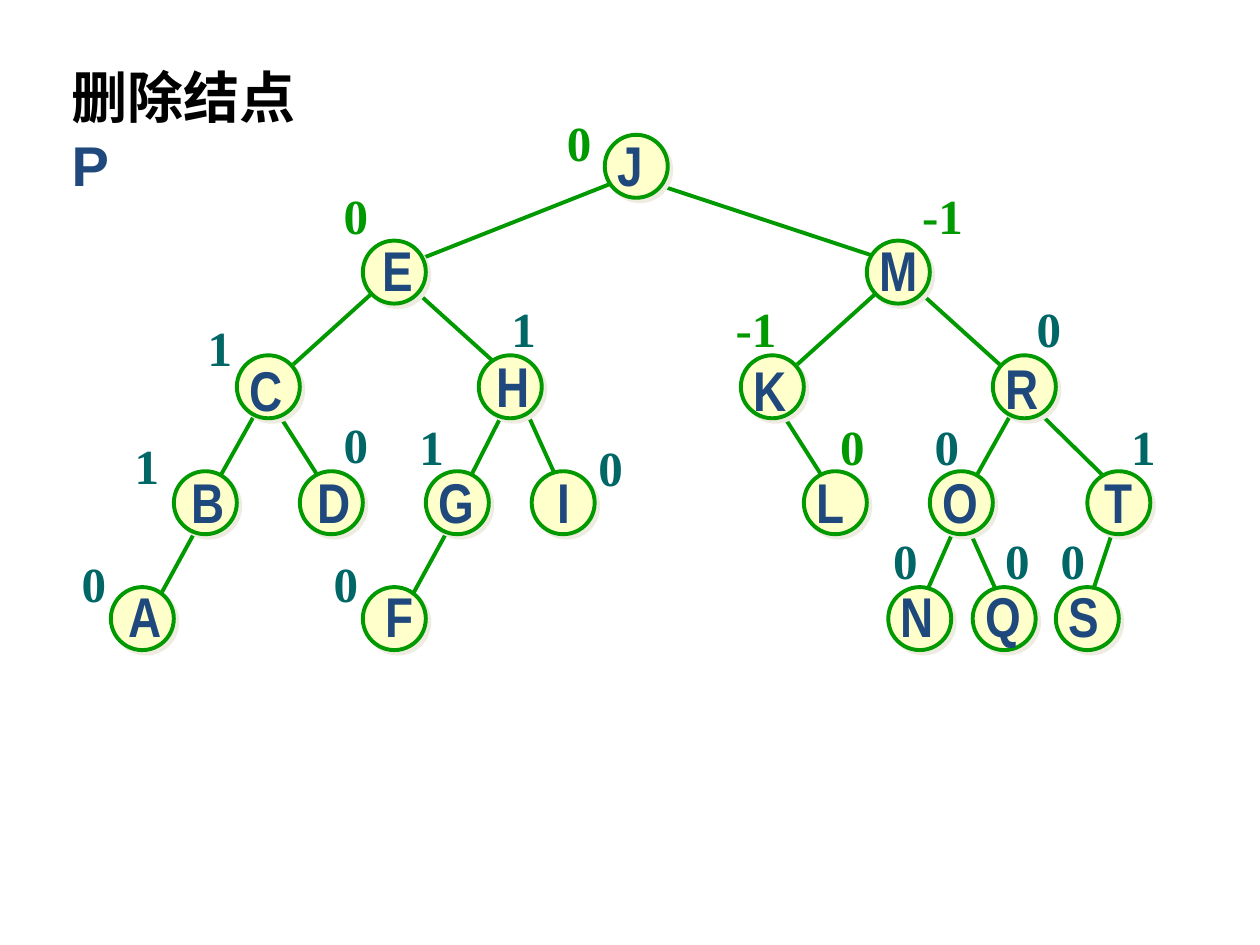
from lxml import etree
from pptx import Presentation
from pptx.dml.color import RGBColor
from pptx.enum.shapes import MSO_CONNECTOR, MSO_SHAPE
from pptx.enum.text import MSO_AUTO_SIZE
from pptx.oxml.ns import qn
from pptx.util import Inches, Pt

STRAIGHT = MSO_CONNECTOR.STRAIGHT
OVAL = MSO_SHAPE.OVAL
FIT_TEXT = MSO_AUTO_SIZE.SHAPE_TO_FIT_TEXT

BLACK = RGBColor(0x00, 0x00, 0x00)
NAVY = RGBColor(0x1F, 0x49, 0x7D)
GREEN = RGBColor(0x00, 0x99, 0x00)
TEAL = RGBColor(0x00, 0x66, 0x66)
CREAM = RGBColor(0xFF, 0xFF, 0xCC)
SHADOW = "EEECE1"

NODE_SIZE = 0.5
LEVEL_TOPS = [1.07, 1.91, 2.82, 3.74, 4.66]

# key, level, node left, label (left, top, width), balance (text, left, top, colour)
NODES = [
    ("J", 0, 4.80, (4.80, 0.99, 0.40), ("0", 4.40, 0.84, GREEN)),
    ("E", 1, 2.88, (2.94, 1.82, 0.44), ("0", 2.63, 1.42, GREEN)),
    ("M", 1, 6.88, (6.88, 1.82, 0.51), ("-1", 7.22, 1.42, GREEN)),
    ("C", 2, 1.88, (1.88, 2.77, 0.47), ("1", 1.55, 2.47, TEAL)),
    ("H", 2, 3.80, (3.84, 2.74, 0.47), ("1", 3.96, 2.32, TEAL)),
    ("K", 2, 5.88, (5.88, 2.77, 0.47), ("-1", 5.74, 2.32, GREEN)),
    ("R", 2, 7.88, (7.88, 2.76, 0.47), ("0", 8.13, 2.32, TEAL)),
    ("B", 3, 1.38, (1.42, 3.66, 0.47), ("1", 0.97, 3.41, TEAL)),
    ("D", 3, 2.38, (2.42, 3.66, 0.47), ("0", 2.63, 3.24, TEAL)),
    ("G", 3, 3.38, (3.38, 3.66, 0.48), ("1", 3.23, 3.26, TEAL)),
    ("I", 3, 4.22, (4.33, 3.66, 0.30), ("0", 4.65, 3.42, TEAL)),
    ("L", 3, 6.38, (6.38, 3.66, 0.42), ("0", 6.57, 3.26, GREEN)),
    ("O", 3, 7.38, (7.38, 3.66, 0.48), ("0", 7.32, 3.26, TEAL)),
    ("T", 3, 8.63, (8.67, 3.66, 0.42), ("1", 8.88, 3.26, TEAL)),
    ("A", 4, 0.88, (0.92, 4.57, 0.47), ("0", 0.55, 4.34, TEAL)),
    ("F", 4, 2.88, (2.96, 4.57, 0.42), ("0", 2.55, 4.34, TEAL)),
    ("N", 4, 7.05, (7.05, 4.57, 0.47), ("0", 6.99, 4.16, TEAL)),
    ("Q", 4, 7.72, (7.72, 4.57, 0.48), ("0", 7.88, 4.16, TEAL)),
    ("S", 4, 8.38, (8.38, 4.57, 0.44), ("0", 8.32, 4.16, TEAL)),
]

# x and y at the start, x and y at the end; one row per level of the tree
EDGES = [
    (3.30, 2.07, 4.97, 1.41), (5.05, 1.41, 7.05, 2.07),
    (2.22, 2.99, 3.05, 2.24), (4.05, 2.99, 3.22, 2.24),
    (6.22, 2.99, 7.05, 2.24), (8.13, 3.07, 7.30, 2.32),
    (1.63, 3.99, 2.05, 3.24), (2.13, 3.16, 2.55, 3.82),
    (3.63, 3.99, 4.05, 3.16), (4.13, 3.16, 4.47, 3.91),
    (6.13, 3.16, 6.55, 3.82), (7.63, 3.99, 8.05, 3.24),
    (8.13, 3.16, 8.80, 3.82),
    (1.22, 4.82, 1.63, 4.07), (3.22, 4.82, 3.63, 4.07),
    (7.30, 4.82, 7.63, 4.07), (7.63, 4.07, 7.93, 4.74),
    (8.88, 4.07, 8.63, 4.82),
]


def add_run(paragraph, text, *, font, size, color):
    run = paragraph.add_run()
    run.text = text
    run.font.name = font
    run.font.size = Pt(size)
    run.font.bold = True
    run.font.color.rgb = color


class TreeSlide:
    """Draws on one slide; the tree's parts share a group."""

    def __init__(self, slide):
        self.slide = slide
        self.tree = None

    def start_tree(self):
        self.tree = self.slide.shapes.add_group_shape().shapes

    def text_box(self, shapes, left, top, width, height, wrap=False):
        frame = shapes.add_textbox(Inches(left), Inches(top),
                                   Inches(width), Inches(height)).text_frame
        frame.word_wrap = wrap
        frame.auto_size = FIT_TEXT
        return frame.paragraphs[0]

    def title(self, heading, key):
        paragraph = self.text_box(self.slide.shapes, 0.47, 0.45, 2.25, 0.63, wrap=True)
        add_run(paragraph, heading, font="Arial", size=32, color=BLACK)
        add_run(paragraph, key, font="Arial", size=32, color=NAVY)

    def outline(self, shape):
        shape.line.color.rgb = GREEN
        shape.line.width = Pt(2.25)

    def edge(self, x1, y1, x2, y2):
        line = self.tree.add_connector(STRAIGHT, Inches(x1), Inches(y1),
                                       Inches(x2), Inches(y2))
        self.outline(line)
        etree.SubElement(line._element.spPr, qn("a:effectLst"))

    def node(self, left, level):
        circle = self.tree.add_shape(OVAL, Inches(left), Inches(LEVEL_TOPS[level]),
                                     Inches(NODE_SIZE), Inches(NODE_SIZE))
        circle.fill.solid()
        circle.fill.fore_color.rgb = CREAM
        self.outline(circle)
        circle.shadow.inherit = False
        effects = circle._element.spPr.find(qn("a:effectLst"))
        shadow = etree.SubElement(effects, qn("a:outerShdw"), dist=str(Pt(2.8)),
                                  dir="2700000", algn="ctr", rotWithShape="0")
        etree.SubElement(shadow, qn("a:srgbClr"), val=SHADOW)

    def label(self, key, left, top, width):
        paragraph = self.text_box(self.tree, left, top, width, 0.63)
        add_run(paragraph, key, font="Arial Narrow", size=32, color=NAVY)

    def balance(self, value, left, top, color):
        width = 0.53 if value.startswith("-") else 0.4
        paragraph = self.text_box(self.tree, left, top, width, 0.57)
        add_run(paragraph, value, font="Times New Roman", size=28, color=color)


def main():
    prs = Presentation()
    prs.slide_width, prs.slide_height = Inches(10), Inches(7.5)
    page = TreeSlide(prs.slides.add_slide(prs.slide_layouts[6]))

    # Heading with the key to delete
    page.title("删除结点", "P")

    # Edges lie behind the nodes
    page.start_tree()
    for ends in EDGES:
        page.edge(*ends)

    # Nodes with their keys and balance factors
    for _, level, left, _, _ in NODES:
        page.node(left, level)
    for key, _, _, label_box, balance in NODES:
        page.label(key, *label_box)
        page.balance(*balance)

    prs.save("out.pptx")


if __name__ == "__main__":
    main()
